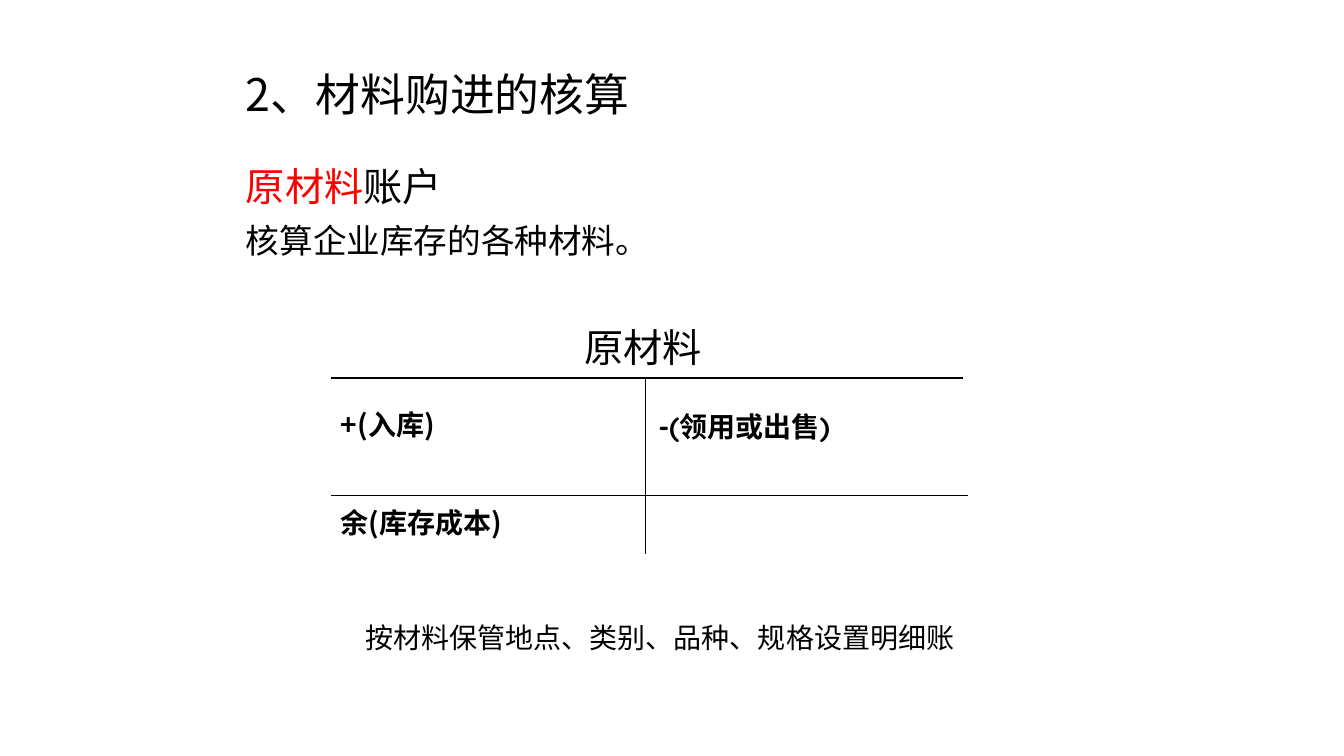
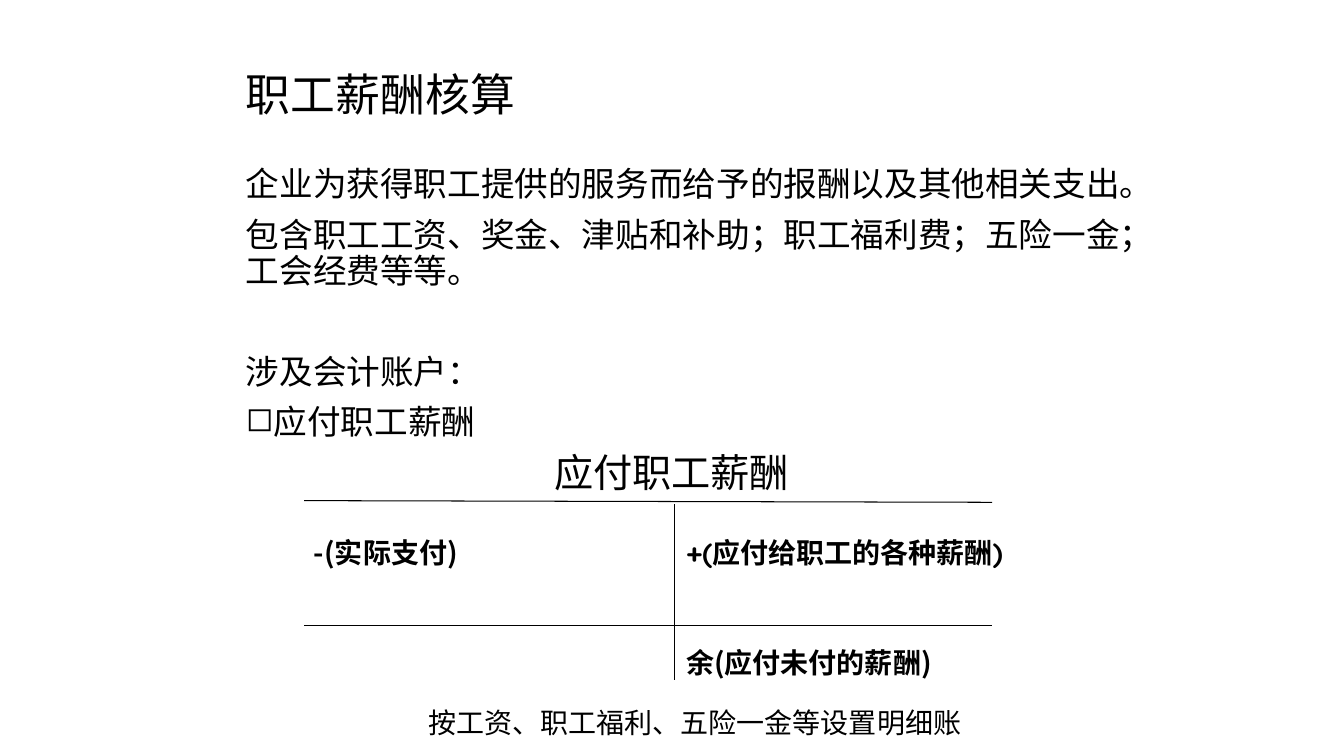
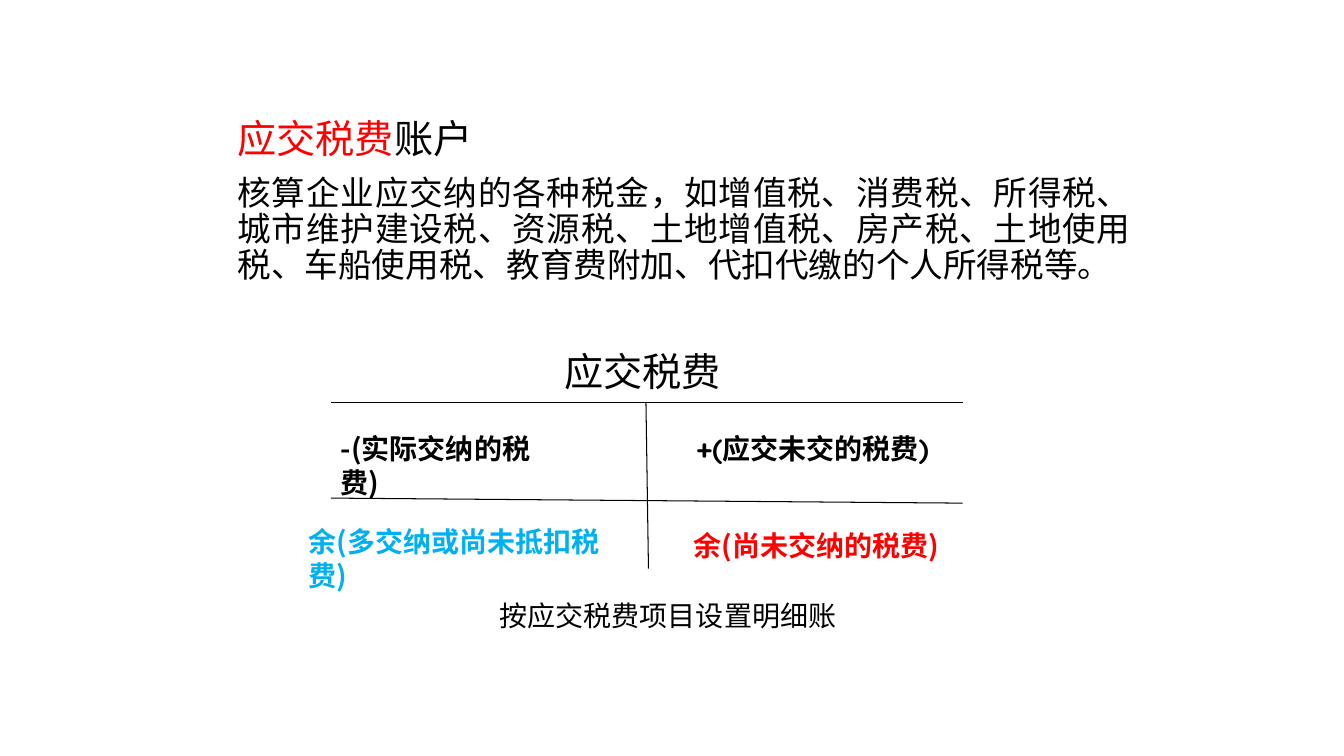
from lxml.etree import SubElement
from pptx import Presentation
from pptx.dml.color import RGBColor
from pptx.enum.shapes import MSO_CONNECTOR
from pptx.enum.text import MSO_ANCHOR, MSO_AUTO_SIZE, PP_ALIGN
from pptx.oxml.ns import qn
from pptx.util import Inches, Pt

CJK, LATIN = "Noto Sans CJK SC", "Quicksand"
BLACK, RED, BLUE = "000000", "FF0000", "00B0F0"
TITLE, HEADING, BODY, LABEL = 32, 28, 24, 20


def colour(value):
    return RGBColor.from_string(value)


class Deck:
    """Ledger slides laid out on a grid of 160 columns and 90 rows."""

    def __init__(self):
        self.presentation = Presentation()
        self.presentation.slide_width = Inches(13.33)
        self.presentation.slide_height = Inches(7.5)
        self.slide = None

    def x(self, columns):
        return round(self.presentation.slide_width * columns / 160)

    def y(self, rows):
        return round(self.presentation.slide_height * rows / 90)

    def new_slide(self):
        self.slide = self.presentation.slides.add_slide(self.presentation.slide_layouts[6])

    def frame(self, left, top, width, height):
        box = self.slide.shapes.add_textbox(self.x(left), self.y(top), self.x(width), self.y(height))
        box.text_frame.word_wrap = True
        return box.text_frame

    def run(self, paragraph, words, size, ink=BLACK, bold=False, face=CJK):
        run = paragraph.add_run()
        run.text = words
        run.font.size = Pt(size)
        run.font.bold = bold
        run.font.color.rgb = colour(ink)
        run.font.name = face
        SubElement(run.font._element, qn("a:ea"), typeface=CJK)

    def title(self, words):
        frame = self.frame(28.1, 6.2, 90, 10.8)
        frame.vertical_anchor = MSO_ANCHOR.MIDDLE
        frame.paragraphs[0].line_spacing = 0.9
        self.run(frame.paragraphs[0], words, TITLE)

    def body(self, left, top, height):
        return self.frame(left, top, 108.7, height)

    def paragraph(self, frame, words, before=10, align=None, bullet=None):
        first = not frame.paragraphs[0].runs
        paragraph = frame.paragraphs[0] if first else frame.add_paragraph()
        if bullet:
            properties = paragraph._p.get_or_add_pPr()
            properties.set("marL", str(Inches(0.25)))
            properties.set("indent", str(-Inches(0.25)))
            SubElement(properties, qn("a:buChar"), char=bullet)
        paragraph.line_spacing = 0.9
        paragraph.space_before = Pt(0 if first else before)
        paragraph.alignment = align
        if words:
            self.run(paragraph, words, BODY)
        return paragraph

    def account_heading(self, frame, account):
        heading = self.paragraph(frame, "")
        self.run(heading, account, HEADING, RED)
        self.run(heading, "账户", HEADING)

    def label(self, words, left, top, width, size=LABEL, **style):
        frame = self.frame(left, top, width, 6.8 if size == HEADING else 5.3)
        frame.auto_size = MSO_AUTO_SIZE.SHAPE_TO_FIT_TEXT
        self.run(frame.paragraphs[0], words, size, **style)

    def entry(self, words, left, top, width, **style):
        self.label(words, left, top, width, bold=True, **style)

    def rule(self, x1, y1, x2, y2):
        line = self.slide.shapes.add_connector(
            MSO_CONNECTOR.STRAIGHT, self.x(x1), self.y(y1), self.x(x2), self.y(y2))
        line.line.color.rgb = colour(BLACK)
        line.line.width = Pt(0.75)
        SubElement(line._element.spPr, qn("a:effectLst"))

    def ledger(self, head, divider, balance):
        for ends in (head, divider, balance):
            self.rule(*ends)


def materials(deck):
    deck.new_slide()
    deck.title("2、材料购进的核算")
    intro = deck.body(28.1, 19.4, 31.2)
    deck.account_heading(intro, "原材料")
    deck.paragraph(intro, "核算企业库存的各种材料。")
    deck.label("原材料", 68.4, 37.9, 28, HEADING)
    deck.ledger((39.4, 45, 114.6, 45), (76.9, 45, 76.9, 66), (39.4, 59, 115.2, 59))
    deck.entry("+(入库)", 39.4, 47.9, 28.6)
    deck.entry("-(领用或出售)", 77.2, 48.2, 45.6, face=LATIN)
    deck.entry("余(库存成本)", 39.4, 59.6, 37.7)
    deck.label("按材料保管地点、类别、品种、规格设置明细账", 42.3, 73.3, 73.3)


def payroll(deck):
    deck.new_slide()
    deck.title("职工薪酬核算")
    intro = deck.body(28.1, 19.4, 46.3)
    deck.paragraph(intro, "企业为获得职工提供的服务而给予的报酬以及其他相关支出。")
    deck.paragraph(intro, "包含职工工资、奖金、津贴和补助；职工福利费；五险一金；工会经费等等。")
    deck.paragraph(intro, "涉及会计账户：", before=46)
    deck.paragraph(intro, "应付职工薪酬", bullet="◻")
    deck.label("应付职工薪酬", 64.8, 52.8, 31.2, HEADING)
    deck.ledger((36.2, 59.6, 118.1, 59.8), (80.3, 60, 80.3, 81), (36.2, 74.5, 118.1, 74.5))
    deck.entry("-(实际支付)", 36.2, 63.2, 40.7)
    deck.entry("+(应付给职工的各种薪酬)", 80.5, 63.2, 53, face=LATIN)
    deck.entry("余(应付未付的薪酬)", 80.5, 76.2, 44.3)
    deck.label("按工资、职工福利、五险一金等设置明细账", 49.8, 83.4, 71.8)


def taxes(deck):
    deck.new_slide()
    intro = deck.body(27.1, 13.7, 31.2)
    deck.account_heading(intro, "应交税费")
    deck.paragraph(
        intro,
        "核算企业应交纳的各种税金，如增值税、消费税、所得税、城市维护建设税、资源税、"
        "土地增值税、房产税、土地使用税、车船使用税、教育费附加、代扣代缴的个人所得税等。",
        align=PP_ALIGN.JUSTIFY)
    deck.label("应交税费", 66, 40.7, 37.8, HEADING)
    deck.ledger((39.4, 47.9, 114.6, 47.9), (76.9, 47.9, 77.2, 67.7), (39.4, 59.3, 114.6, 59.9))
    deck.entry("-(实际交纳的税费)", 39.4, 50.8, 28.6)
    deck.entry("+(应交未交的税费)", 81.7, 50.8, 45.6, face=LATIN)
    deck.label("按应交税费项目设置明细账", 58.3, 70.7, 65.1)
    deck.entry("余(尚未交纳的税费)", 81.4, 62.3, 37.8, ink=RED)
    deck.entry("余(多交纳或尚未抵扣税费)", 35.6, 61.9, 41.2, ink=BLUE)


def main():
    deck = Deck()
    for build in (materials, payroll, taxes):
        build(deck)
    deck.presentation.save("out.pptx")


if __name__ == "__main__":
    main()
